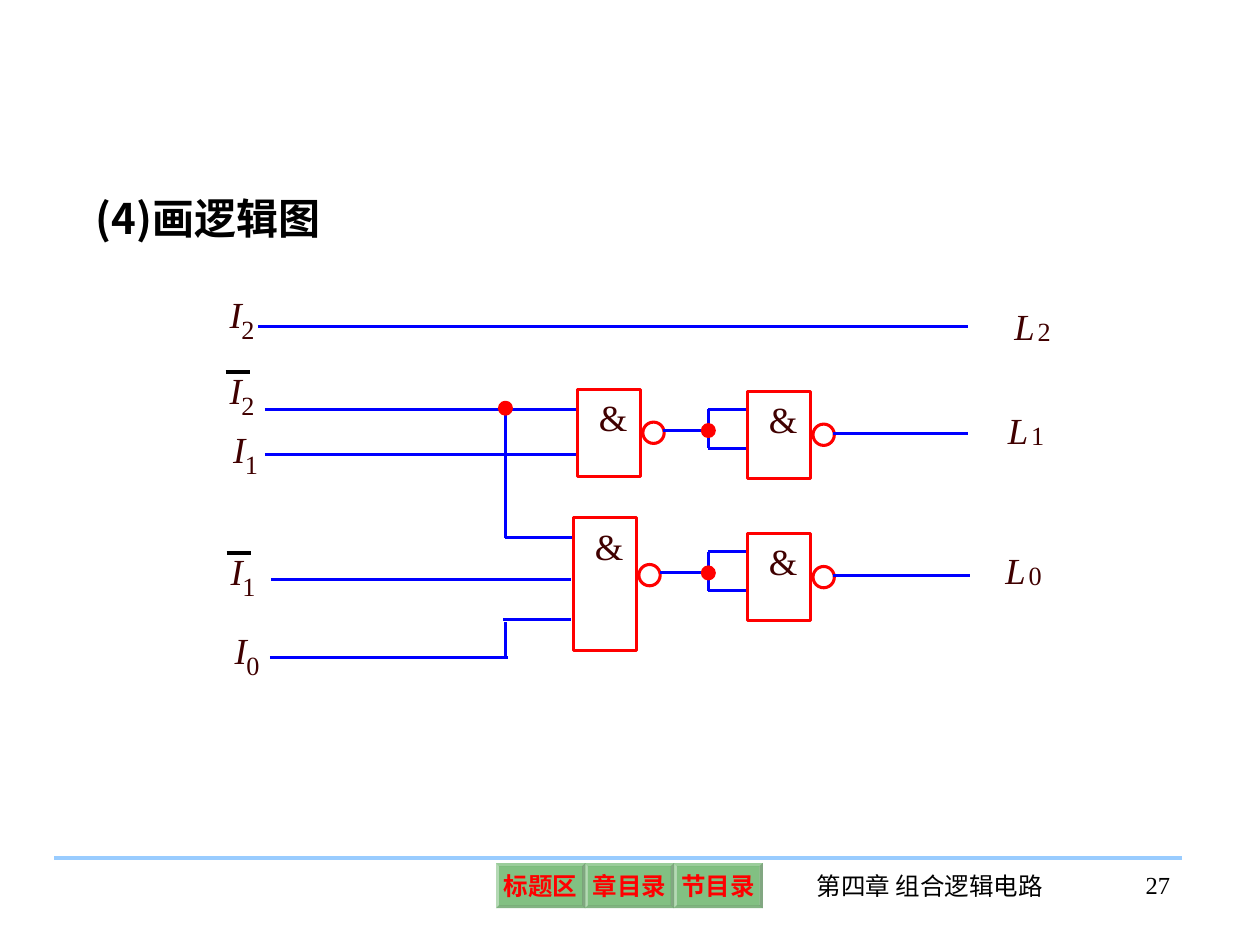
from lxml.etree import SubElement
from pptx import Presentation
from pptx.dml.color import RGBColor
from pptx.enum.shapes import MSO_CONNECTOR, MSO_SHAPE
from pptx.enum.text import MSO_ANCHOR, PP_ALIGN
from pptx.oxml.ns import qn
from pptx.util import Cm, Pt

BLACK = RGBColor(0x00, 0x00, 0x00)
BLUE = RGBColor(0x00, 0x00, 0xFF)
RED = RGBColor(0xFF, 0x00, 0x00)
MAROON = RGBColor(0x40, 0x00, 0x00)
GREEN = RGBColor(0x00, 0x80, 0x00)
SKY = RGBColor(0x99, 0xCC, 0xFF)
SERIF, SANS = "Times New Roman", "Noto Sans CJK SC"

GATE_WIDTH, GATE_HEIGHT = 1.27, 1.75
LETTER_WIDTHS = {"I": 0.25, "L": 0.41}
DIGIT_OFFSETS = {"I": (0.23, 0.43), "L": (0.46, 0.23)}


def write(frame, text, size, color, face=SERIF, align=PP_ALIGN.CENTER,
          margins=(0, 0), bold=False, italic=False, wrap=False):
    frame.word_wrap = wrap
    frame.margin_left = frame.margin_right = Cm(margins[0])
    frame.margin_top = frame.margin_bottom = Cm(margins[1])
    paragraph = frame.paragraphs[0]
    paragraph.text = text
    paragraph.alignment = align
    font = paragraph.font
    font.name, font.size = face, Pt(size)
    font.bold, font.italic = bold, italic
    font.color.rgb = color
    east_asian = SubElement(paragraph._p.pPr.find(qn("a:defRPr")), qn("a:ea"))
    east_asian.set("typeface", SANS)
    return paragraph


def add_text(slide, left, top, width, height, text, size, color, **style):
    holder = slide.shapes.add_textbox(Cm(left), Cm(top), Cm(width), Cm(height))
    write(holder.text_frame, text, size, color, **style)


def add_line(slide, start, end, color=BLUE, weight=1.75):
    line = slide.shapes.add_connector(
        MSO_CONNECTOR.STRAIGHT, *(Cm(value) for value in (*start, *end)))
    line.line.color.rgb = color
    line.line.width = Pt(weight)
    SubElement(line._element.spPr, qn("a:effectLst"))


def add_outline(slide, kind, left, top, width, height, filled=False):
    part = slide.shapes.add_shape(kind, Cm(left), Cm(top), Cm(width), Cm(height))
    part.shadow.inherit = False
    part.line.color.rgb = RED
    part.line.width = Pt(1.75)
    if filled:
        part.fill.solid()
        part.fill.fore_color.rgb = RED
    else:
        part.fill.background()


def add_junction(slide, x, y):
    add_outline(slide, MSO_SHAPE.OVAL, x - 0.12, y - 0.12, 0.24, 0.24, filled=True)


def add_nand(slide, left, top, height=GATE_HEIGHT, bubble_drop=0.66):
    add_outline(slide, MSO_SHAPE.RECTANGLE, left, top, GATE_WIDTH, height)
    add_text(slide, left + 0.43, top + 0.11, 0.58, 0.89, "&", 21, MAROON)
    add_outline(slide, MSO_SHAPE.OVAL, left + GATE_WIDTH + 0.05,
                top + bubble_drop, 0.43, 0.43)


def add_inverter(slide, x, y, feed_x, output_x):
    """A NAND with both inputs tied together at the node (x, y)."""
    gate_x = x + 0.79
    add_line(slide, (feed_x, y), (x - 0.05, y))
    for drop in (-0.43, 0.36):
        add_line(slide, (x, y), (x, y + drop))
        add_line(slide, (x, y + drop), (gate_x, y + drop))
    add_junction(slide, x, y)
    add_nand(slide, gate_x, y - 0.79)
    add_line(slide, (gate_x + 1.73, y + 0.05), (output_x, y + 0.05))


def add_signal(slide, left, top, letter, digit, negated=False):
    add_text(slide, left, top, LETTER_WIDTHS[letter], 0.89, letter, 21,
             MAROON, italic=True)
    across, down = DIGIT_OFFSETS[letter]
    add_text(slide, left + across, top + down, 0.28, 0.64, digit, 15, MAROON)
    if negated:
        add_line(slide, (left - 0.08, top + 0.08), (left + 0.41, top + 0.08),
                 BLACK, 2.25)


def add_circuit(slide, left, top):
    def at(x, y):
        return left + x, top + y

    branch = 5.64
    wires = [
        ((0.66, 0.69), (14.96, 0.69)),
        ((0.79, 2.36), (7.09, 2.36)),
        ((0.79, 3.28), (7.09, 3.28)),
        ((branch, 2.34), (branch, 4.95)),
        ((branch, 4.95), (7.01, 4.95)),
        ((0.91, 5.79), (6.96, 5.79)),
        ((0.89, 7.37), (5.69, 7.37)),
        ((branch, 6.65), (branch, 7.37)),
        ((5.59, 6.6), (6.96, 6.6)),
    ]
    for start, end in wires:
        add_line(slide, at(*start), at(*end))
    add_junction(slide, *at(branch, 2.34))

    add_nand(slide, *at(7.09, 1.96))
    add_nand(slide, *at(7.01, 4.55), height=2.67, bubble_drop=0.94)
    for y, feed_x, output_x in ((2.79, 8.81, 14.96), (5.66, 8.76, 15.01)):
        add_inverter(slide, *at(9.73, y), left + feed_x, left + output_x)

    signals = [
        (0.08, 0, "I", "2", False),
        (0.08, 1.52, "I", "2", True),
        (0.15, 2.72, "I", "1", False),
        (0.1, 5.18, "I", "1", True),
        (0.18, 6.76, "I", "0", False),
        (15.9, 0.23, "L", "2", False),
        (15.77, 2.34, "L", "1", False),
        (15.72, 5.16, "L", "0", False),
    ]
    for x, y, letter, digit, negated in signals:
        add_signal(slide, *at(x, y), letter, digit, negated)


def add_heading(slide, left, top, width, height):
    title = slide.shapes.title
    title.left, title.top = Cm(left), Cm(top)
    title.width, title.height = Cm(width), Cm(height)
    title.text_frame.vertical_anchor = MSO_ANCHOR.TOP
    paragraph = write(title.text_frame, "(4)画逻辑图", 24, BLACK, face=SANS,
                      align=PP_ALIGN.JUSTIFY, margins=(0.25, 0.13),
                      bold=True, wrap=True)
    paragraph.line_spacing = 1.31
    paragraph.space_before = Pt(6)


def add_button(slide, left, top, caption):
    button = slide.shapes.add_shape(
        MSO_SHAPE.BEVEL, Cm(left), Cm(top), Cm(1.8), Cm(0.91))
    button.adjustments[0] = 0.07
    button.shadow.inherit = False
    button.line.fill.background()
    button.fill.solid()
    button.fill.fore_color.rgb = GREEN
    tint = button.fill._xPr.find(qn("a:solidFill"))[0]
    SubElement(tint, qn("a:alpha")).set("val", "49000")
    button.text_frame.vertical_anchor = MSO_ANCHOR.MIDDLE
    write(button.text_frame, caption, 14, RED, margins=(0.1, 0.1), bold=True)


def add_footer(slide, left, top, width):
    add_line(slide, (left, top), (left + width, top), SKY, 2.25)
    for column, caption in enumerate(("标题区", "章目录", "节目录")):
        add_button(slide, left + 8.91 + 1.79 * column, top + 0.1, caption)
    add_text(slide, left + 14.76, top + 0.13, 5.79, 1.27, "第四章 组合逻辑电路",
             14, BLACK, margins=(0.25, 0.13), wrap=True)
    add_text(slide, left + 20.57, top + 0.1, 2.18, 1.27, "27", 14, BLACK,
             align=PP_ALIGN.RIGHT, margins=(0.25, 0.13), wrap=True)


def main():
    deck = Presentation()
    deck.slide_width, deck.slide_height = Cm(25.4), Cm(19.05)
    slide = deck.slides.add_slide(deck.slide_layouts.get_by_name("Title Only"))
    add_heading(slide, 1.68, 3.43, 9.8, 1.47)
    add_circuit(slide, 4.55, 5.89)
    add_footer(slide, 1.09, 17.3, 22.73)
    deck.save("out.pptx")


if __name__ == "__main__":
    main()
